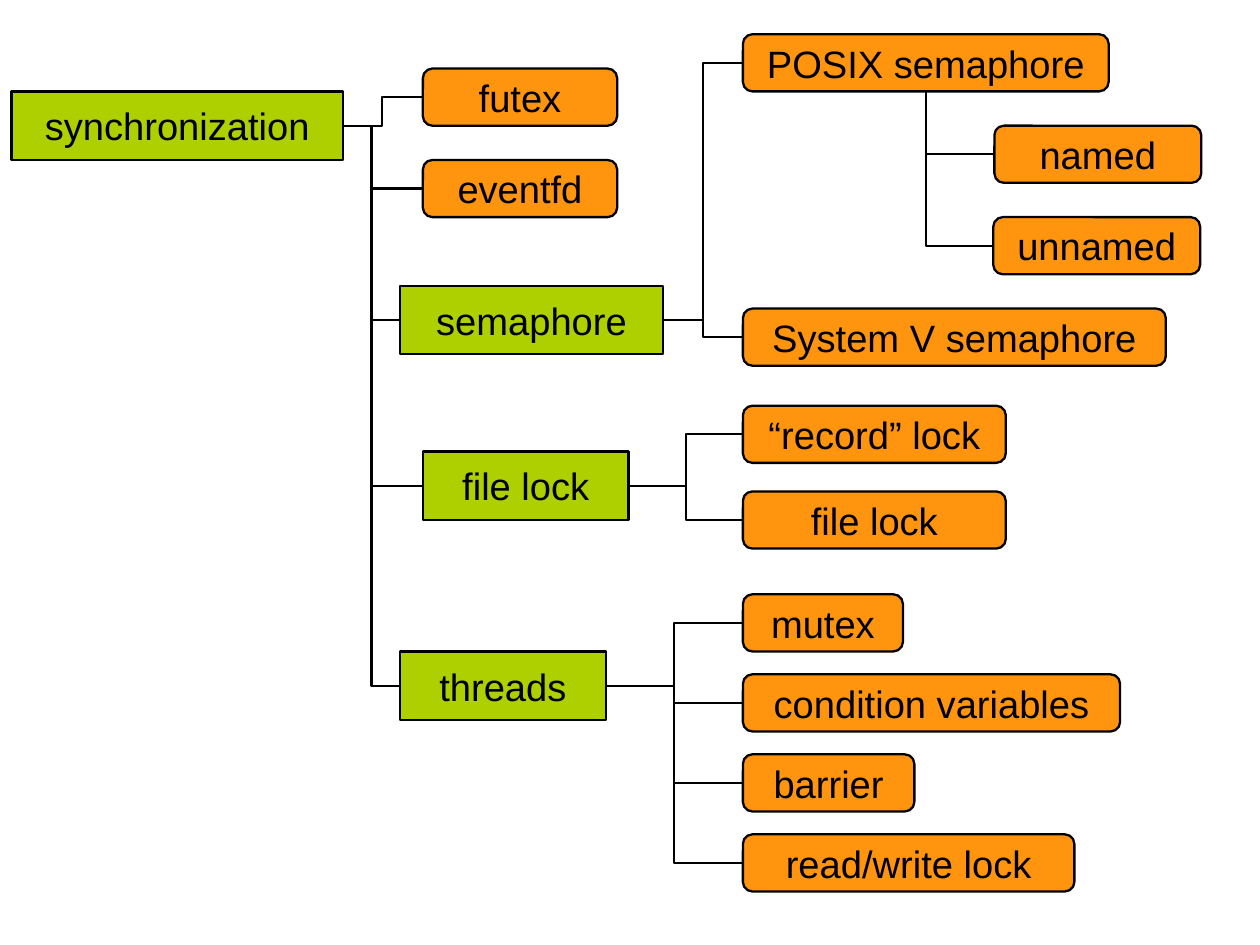
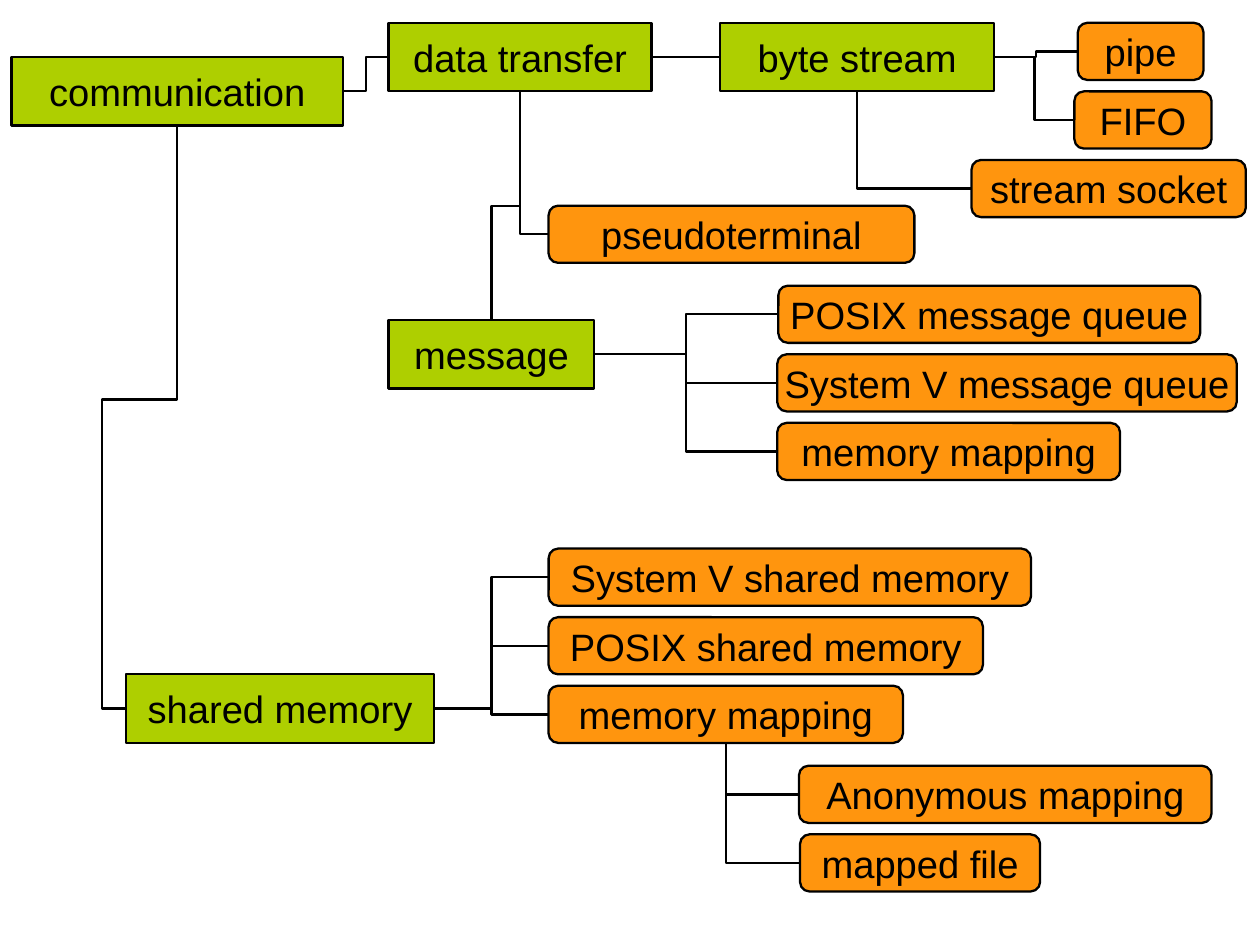
import pptx
import pptx.dml.color
import pptx.enum.shapes
import pptx.enum.text
import pptx.oxml.ns
import pptx.util

CELL = pptx.util.Inches(0.1)
BLACK = "000000"
LINE_WIDTH = pptx.util.Pt(1.45)
TOP, LEFT, BOTTOM, RIGHT = range(4)

# kind: preset shape, fill, height in rows
KINDS = {
    "group": (pptx.enum.shapes.MSO_SHAPE.RECTANGLE, "AECF00", 6),
    "leaf": (pptx.enum.shapes.MSO_SHAPE.ROUNDED_RECTANGLE, "FF950E", 5),
}

# route: preset, side of parent, side of child, rotation, horizontal flip
ROUTES = {
    "straight": ("line", RIGHT, LEFT, None, None),
    "across": ("bentConnector3", RIGHT, LEFT, None, None),
    "corner": ("bentConnector2", BOTTOM, LEFT, 270, "1"),
    "step": ("bentConnector3", BOTTOM, TOP, 90, "0"),
    "loop": ("bentConnector4", BOTTOM, LEFT, 90, "0"),
}

# Each tree runs from parent to children:
# depth, kind, text, column, row, columns, route from parent, bends as shares
SYNCHRONIZATION = [
    (0, "group", "synchronization", 1, 8, 29, None, []),
    (1, "leaf", "futex", 37, 6, 17, "across", [0.49]),
    (1, "leaf", "eventfd", 37, 14, 17, "across", [0.35]),
    (1, "group", "semaphore", 35, 25, 23, "across", [0.5]),
    (2, "leaf", "POSIX semaphore", 65, 3, 32, "across", [0.5]),
    (3, "leaf", "named", 87, 11, 18.1, "corner", []),
    (3, "leaf", "unnamed", 86.9, 19, 18.1, "corner", []),
    (2, "leaf", "System V semaphore", 65, 27, 37, "across", [0.5]),
    (1, "group", "file lock", 37, 39.5, 18, "across", [0.35]),
    (2, "leaf", "“record” lock", 65, 35.5, 23, "across", [0.5]),
    (2, "leaf", "file lock", 65, 43, 23, "across", [0.5]),
    (1, "group", "threads", 35, 57, 18, "across", [0.5]),
    (2, "leaf", "mutex", 65, 52, 14, "across", [0.5]),
    (2, "leaf", "condition variables", 65, 59, 33, "across", [0.5]),
    (2, "leaf", "barrier", 65, 66, 15, "across", [0.5]),
    (2, "leaf", "read/write lock", 65, 73, 29, "across", [0.5]),
]
COMMUNICATION = [
    (0, "group", "communication", 1, 5, 29, None, []),
    (1, "group", "data transfer", 34, 2, 23, "across", [0.5]),
    (2, "group", "byte stream", 63, 2, 24, "straight", []),
    (3, "leaf", "pipe", 94.3, 2, 11, "across", [0.5]),
    (3, "leaf", "FIFO", 94, 8, 12, "across", [0.5]),
    (3, "leaf", "stream socket", 85, 14, 24, "corner", []),
    (2, "leaf", "pseudoterminal", 48, 18, 32, "corner", []),
    (2, "group", "message", 34, 28, 18, "step", [0.5]),
    (3, "leaf", "POSIX message queue", 68.1, 25, 36.9, "across", [0.5]),
    (3, "leaf", "System V message queue", 68, 31, 40.2, "across", [0.5]),
    (3, "leaf", "memory mapping", 68, 37, 30, "across", [0.5]),
    (1, "group", "shared memory", 11, 59, 27, "loop", [0.47, 1.46]),
    (2, "leaf", "System V shared memory", 48, 48, 42.2, "across", [0.5]),
    (2, "leaf", "POSIX shared memory", 48, 54, 38, "across", [0.5]),
    (2, "leaf", "memory mapping", 48, 60, 31, "across", [0.5]),
    (3, "leaf", "Anonymous mapping", 69.9, 67, 36.1, "corner", []),
    (3, "leaf", "mapped file", 70, 73, 21, "corner", []),
]


def color(hex_string):
    return pptx.dml.color.RGBColor.from_string(hex_string)


def write(shape, text, size, font, fill):
    frame = shape.text_frame
    frame.word_wrap = False
    frame.vertical_anchor = pptx.enum.text.MSO_ANCHOR.MIDDLE
    frame.margin_left = frame.margin_right = pptx.util.Inches(0.11)
    frame.margin_top = frame.margin_bottom = pptx.util.Inches(0.06)
    paragraph = frame.paragraphs[0]
    paragraph.alignment = pptx.enum.text.PP_ALIGN.CENTER
    run = paragraph.add_run()
    run.text = text
    run.font.size = pptx.util.Pt(size)
    run.font.name = font
    run.font.color.rgb = color(fill)


presentation = pptx.Presentation()
presentation.slide_width = pptx.util.Cm(28)
presentation.slide_height = pptx.util.Cm(21)

for tree in (SYNCHRONIZATION, COMMUNICATION):
    slide = presentation.slides.add_slide(presentation.slide_layouts[6])
    latest = {}  # most recent box at each depth
    for depth, kind, text, column, row, columns, route, bends in tree:
        preset, fill, rows = KINDS[kind]
        box = slide.shapes.add_shape(
            preset, *(int(cells * CELL) for cells in (column, row, columns, rows)))
        box.shadow.inherit = False
        box.fill.solid()
        box.fill.fore_color.rgb = color(fill)
        box.line.color.rgb = color(BLACK)
        box.line.width = LINE_WIDTH
        write(box, text, size=24, font="Arial", fill=BLACK)
        latest[depth] = box
        if route is None:
            continue

        preset, parent_side, child_side, rotation, flip = ROUTES[route]
        connector = slide.shapes.add_connector(
            pptx.enum.shapes.MSO_CONNECTOR.ELBOW, 0, 0, 0, 0)
        connector.begin_connect(latest[depth - 1], parent_side)
        connector.end_connect(box, child_side)
        connector.line.color.rgb = color(BLACK)
        connector.line.width = LINE_WIDTH
        properties = connector.element.spPr
        properties.append(properties.makeelement(pptx.oxml.ns.qn("a:effectLst"), {}))

        geometry = properties.find(pptx.oxml.ns.qn("a:prstGeom"))
        geometry.set("prst", preset)
        guides = geometry.find(pptx.oxml.ns.qn("a:avLst"))
        for number, share in enumerate(bends, 1):
            guide = guides.makeelement(pptx.oxml.ns.qn("a:gd"), {
                "name": f"adj{number}", "fmla": f"val {round(share * 100000)}"})
            guides.append(guide)

        if rotation:
            # A quarter turn swaps width and height about the same centre.
            width, height = connector.width, connector.height
            connector.left += (width - height) // 2
            connector.top += (height - width) // 2
            connector.width, connector.height = height, width
            transform = properties.find(pptx.oxml.ns.qn("a:xfrm"))
            transform.set("rot", str(rotation * 60000))
            transform.set("flipH", flip)

presentation.save("out.pptx")
